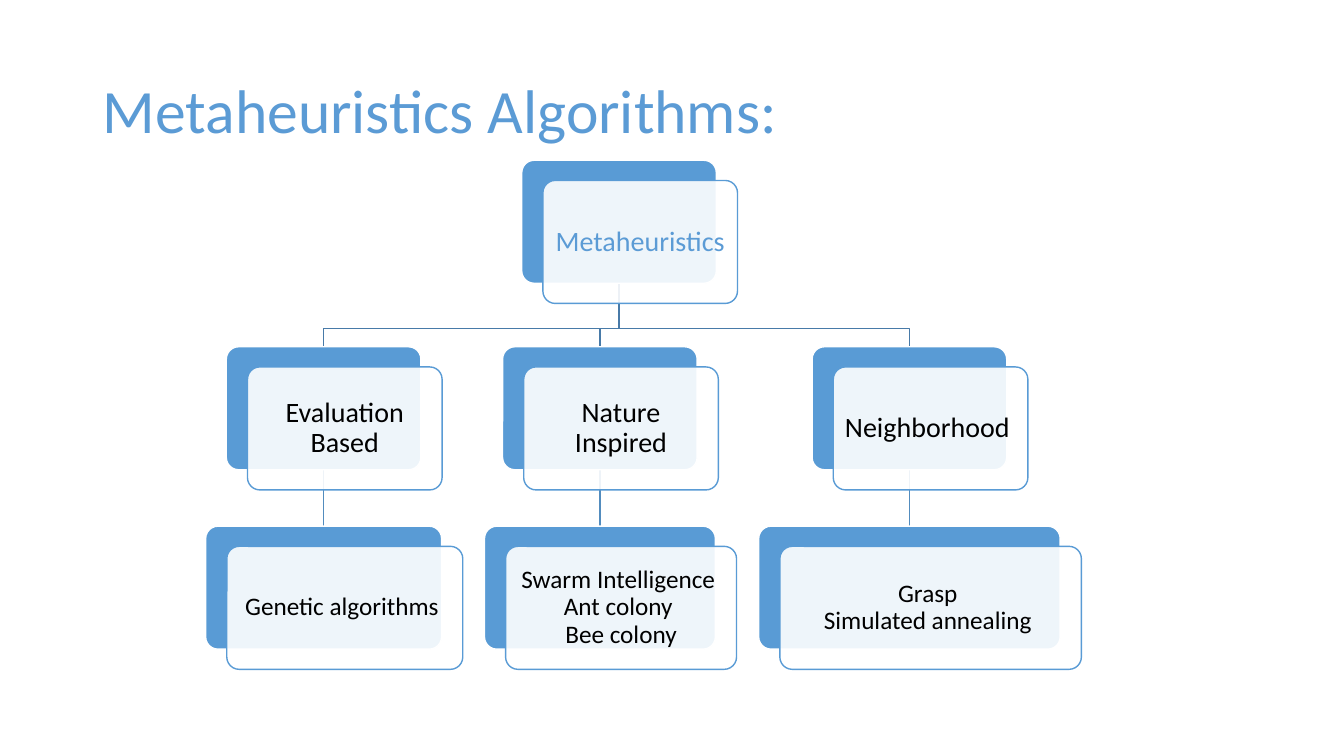
from lxml import etree
from pptx import Presentation
from pptx.dml.color import RGBColor
from pptx.enum.shapes import MSO_CONNECTOR as Connector, MSO_SHAPE as Shape
from pptx.enum.text import MSO_ANCHOR as Anchor, PP_ALIGN as Align
from pptx.oxml.ns import qn
from pptx.util import Inches, Pt

COLORS = {
    "title": "5B9BD5",
    "card": "599BD5",
    "white": "FFFFFF",
    "text": "000000",
    "branch": "487AA8",
    "stem": "528CBE",
}
FONT = "Calibri"

# Tree grid: tops of the three rows and the card measures, in inches
ROWS = (1.59, 3.44, 5.22)
ROOT_CENTER = 6.14
CARD_WIDTH, CARD_HEIGHT = 1.93, 1.22
OFFSET_X, OFFSET_Y = 0.21, 0.2
CARD_MARGIN = 0.06
BRANCH_Y = 3.26

# Column center, category, examples, width of the examples card
COLUMNS = (
    (3.21, "Evaluation Based", "Genetic algorithms ", 2.34),
    (5.95, "Nature Inspired", "Swarm Intelligence \vAnt colony \vBee colony", 2.29),
    (9.02, "Neighborhood ", "Grasp \vSimulated annealing ", 2.99),
)


def color(name):
    return RGBColor.from_string(COLORS[name])


def write(shape, text, size, color_name, align):
    frame = shape.text_frame
    frame.word_wrap = True
    frame.vertical_anchor = Anchor.MIDDLE
    paragraph = frame.paragraphs[0]
    paragraph.text = text
    paragraph.alignment = align
    paragraph.line_spacing = 0.9
    paragraph.font.name = FONT
    paragraph.font.size = Pt(size)
    paragraph.font.color.rgb = color(color_name)
    return frame


def add_title(slide, text):
    box = slide.shapes.add_textbox(Inches(0.92), Inches(0.4), Inches(11.5), Inches(1.45))
    write(box, text, 44, "title", Align.LEFT)


def add_panel(slide, left, top, width, fill, line):
    panel = slide.shapes.add_shape(
        Shape.ROUNDED_RECTANGLE, Inches(left), Inches(top), Inches(width), Inches(CARD_HEIGHT))
    panel.adjustments[0] = 0.1
    panel.shadow.inherit = False
    panel.fill.solid()
    panel.fill.fore_color.rgb = color(fill)
    panel.line.color.rgb = color(line)
    panel.line.width = Pt(1)
    return panel


def add_card(slide, center, row, text, size, text_color="text", width=CARD_WIDTH):
    """Draw a blue panel with a translucent text panel over it; return the blue one."""
    left, top = center - width / 2, ROWS[row]
    back = add_panel(slide, left, top, width, "card", "white")
    front = add_panel(slide, left + OFFSET_X, top + OFFSET_Y, width, "white", "card")
    fill_color = front._element.spPr.find(qn("a:solidFill"))[0]
    etree.SubElement(fill_color, qn("a:alpha"), val="90000")
    frame = write(front, text, size, text_color, Align.CENTER)
    frame.margin_left = frame.margin_right = Inches(CARD_MARGIN)
    return back


def add_branch(slide, center):
    """Draw the bent line from the root card to a category card."""
    points = [(ROOT_CENTER, BRANCH_Y), (center, BRANCH_Y), (center, ROWS[1])]
    builder = slide.shapes.build_freeform(
        Inches(ROOT_CENTER), Inches(ROWS[0] + CARD_HEIGHT))
    builder.add_line_segments([(Inches(x), Inches(y)) for x, y in points], close=False)
    branch = builder.convert_to_shape()
    branch.shadow.inherit = False
    branch.fill.background()
    branch.line.color.rgb = color("branch")
    branch.line.width = Pt(1)


def add_stem(slide, center):
    """Draw the straight line from a category card to its examples."""
    x = Inches(center)
    stem = slide.shapes.add_connector(
        Connector.STRAIGHT, x, Inches(ROWS[1] + CARD_HEIGHT), x, Inches(ROWS[2]))
    stem.line.color.rgb = color("stem")
    stem.line.width = Pt(1)
    etree.SubElement(stem._element.spPr, qn("a:effectLst"))
    return stem


def main():
    presentation = Presentation()
    presentation.slide_width, presentation.slide_height = Inches(13.33), Inches(7.5)
    slide = presentation.slides.add_slide(presentation.slide_layouts[6])
    add_title(slide, "Metaheuristics Algorithms:")

    # Lines lie behind the cards
    stems = []
    for center, *_ in COLUMNS:
        stems.append(add_stem(slide, center))
        add_branch(slide, center)

    # Cards, with each stem joined to the two it links
    add_card(slide, ROOT_CENTER, 0, "Metaheuristics", 20, "title")
    for stem, (center, category, examples, width) in zip(stems, COLUMNS):
        upper = add_card(slide, center, 1, category, 20)
        lower = add_card(slide, center, 2, examples, 18, width=width)
        stem.begin_connect(upper, 2)
        stem.end_connect(lower, 0)

    presentation.save("out.pptx")


if __name__ == "__main__":
    main()
